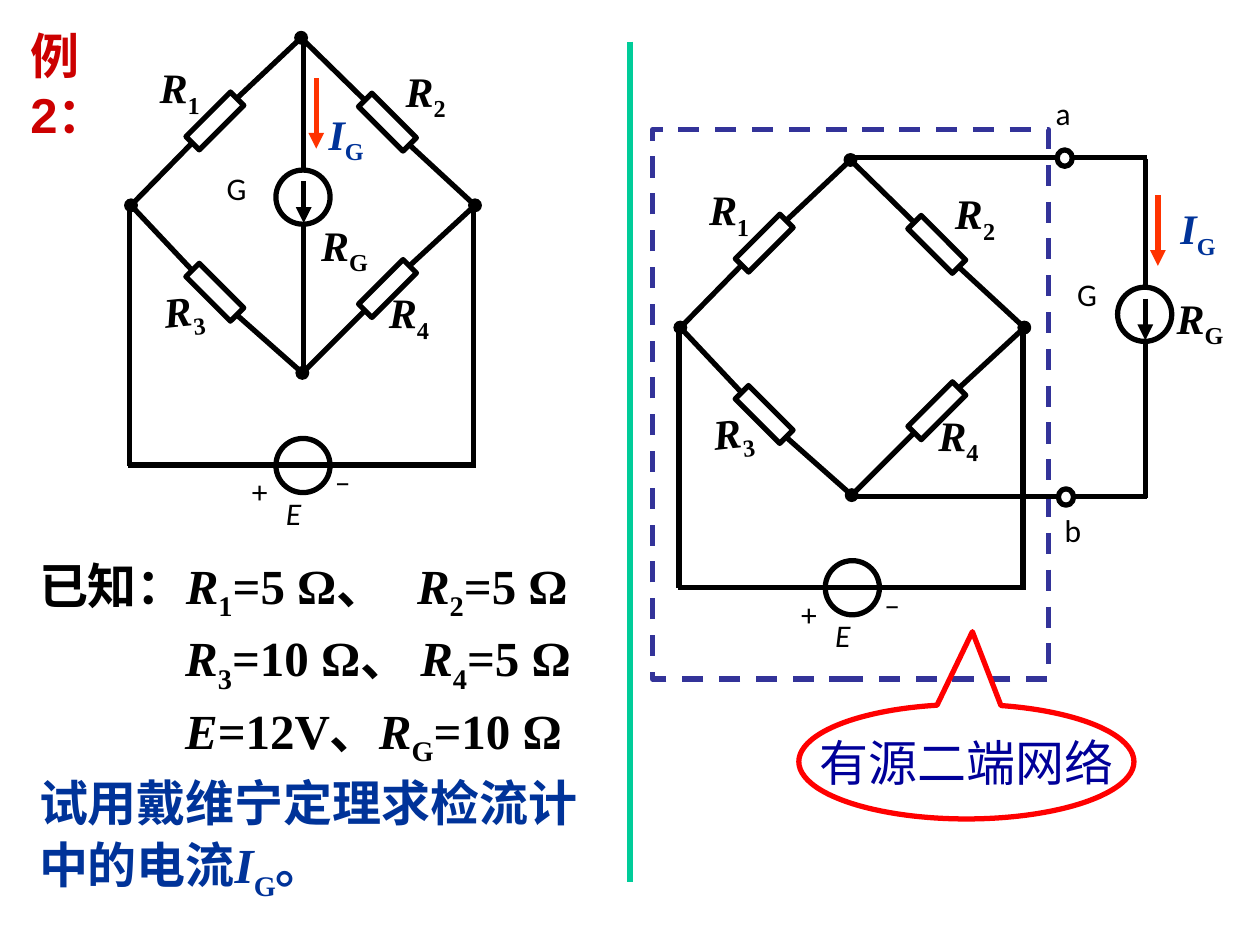
from lxml.etree import SubElement
from pptx import Presentation
from pptx.dml.color import RGBColor
from pptx.enum.dml import MSO_LINE
from pptx.enum.shapes import MSO_CONNECTOR, MSO_SHAPE
from pptx.enum.text import MSO_ANCHOR as Anchor, MSO_AUTO_SIZE as AutoSize, PP_ALIGN as Align
from pptx.oxml.ns import qn
from pptx.util import Pt

PX = 9144
BLACK = RGBColor(0, 0, 0)
RED = RGBColor(0xFF, 0, 0)
TITLE_RED = RGBColor(0xCC, 0, 0)
ARROW_RED = RGBColor(0xFF, 0x33, 0)
BLUE = RGBColor(0, 0x33, 0x99)
NAVY = RGBColor(0, 0, 0x99)
INDIGO = RGBColor(0x33, 0x33, 0x99)
GREEN = RGBColor(0, 0xCC, 0x99)
SERIF, SANS = "Times New Roman", "Calibri"

presentation = Presentation()
presentation.slide_width, presentation.slide_height = 1000 * PX, 750 * PX
slide = presentation.slides.add_slide(presentation.slide_layouts[1])
shapes = slide.shapes


def add_line(x1, y1, x2, y2, color=BLACK, arrow=False):
    line = shapes.add_connector(MSO_CONNECTOR.STRAIGHT, x1 * PX, y1 * PX, x2 * PX, y2 * PX)
    line.line.color.rgb = color
    line.line.width = Pt(3)
    if arrow:
        SubElement(line.line._get_or_add_ln(), qn("a:tailEnd"), type="triangle")
    SubElement(line._element.spPr, qn("a:effectLst"))
    return line


def add_outline(kind, x, y, width, height, color=BLACK, filled=False):
    shape = shapes.add_shape(kind, x * PX, y * PX, width * PX, height * PX)
    shape.shadow.inherit = False
    shape.line.color.rgb = color
    shape.line.width = Pt(0.75 if filled else 3)
    if filled:
        shape.fill.solid()
        shape.fill.fore_color.rgb = color
    else:
        shape.fill.background()
    return shape


texts = []

title, body = shapes.title, slide.placeholders[1]
for placeholder, box in ((title, (14, 15, 119, 62)), (body, (21, 433, 479, 262))):
    placeholder.left, placeholder.top, placeholder.width, placeholder.height = [v * PX for v in box]
    placeholder.text_frame.vertical_anchor = Anchor.TOP
    placeholder.text_frame.auto_size = AutoSize.NONE
    placeholder.text_frame.word_wrap = True
title_paragraph = title.text_frame.paragraphs[0]
title_paragraph.alignment = Align.LEFT
texts.append((title_paragraph, [("例2：", "")], "Arial", 28, TITLE_RED, True))

givens = [
    (0, BLACK, [("已知：", ""), ("R", "i"), ("1", "s"), ("=5 Ω、\t", ""),
                ("R", "i"), ("2", "s"), ("=5 Ω", "")]),
    (116, BLACK, [("R", "i"), ("3", "s"), ("=10 Ω、 ", ""), ("R", "i"), ("4", "s"), ("=5 Ω", "")]),
    (116, BLACK, [("E", "i"), ("=12V、", ""), ("R", "i"), ("G", "s"), ("=10 Ω", "")]),
    (0, BLUE, [("试用戴维宁定理求检流计中的电流", ""), ("I", "i"), ("G", "s"), ("。", "")]),
]
for index, (margin, color, runs) in enumerate(givens):
    paragraph = body.text_frame.add_paragraph() if index else body.text_frame.paragraphs[0]
    properties = paragraph._p.get_or_add_pPr()
    properties.set("marL", str(margin * PX))
    properties.set("indent", "0")
    SubElement(properties, qn("a:buNone"))
    if index == 0:
        tabs = SubElement(properties, qn("a:tabLst"))
        SubElement(tabs, qn("a:tab"), pos=str(320 * PX), algn="l")
    paragraph.line_spacing = 1.05
    paragraph.space_before = Pt(1.4 if index else 0)
    texts.append((paragraph, runs, SERIF, 28, color, True))

add_line(500, 33, 500, 700, GREEN)
network = add_outline(MSO_SHAPE.RECTANGLE, 518, 103, 314, 436, INDIGO)
network.line.dash_style = MSO_LINE.DASH
callout = add_outline(MSO_SHAPE.OVAL_CALLOUT, 634, 559, 266, 91, RED)
callout.adjustments[0], callout.adjustments[1] = 0.018, -1.134
callout.text_frame.word_wrap = False
callout.text_frame.vertical_anchor = Anchor.MIDDLE
callout.text_frame.paragraphs[0].alignment = Align.CENTER
texts.append((callout.text_frame.paragraphs[0], [("有源二端网络", "")], SANS, 28, NAVY, False))

labels = [
    (828, 70, 37, -0.3, [("a", "")], SANS, 18, BLACK),
    (835, 401, 39, -0.3, [("b", "")], SANS, 18, BLACK),
]
nodes = {"top": (239, 30), "left": (104, 163), "right": (377, 163), "bottom": (240, 296)}
resistors = [
    (170, 96, 45, "top", "left"),
    (307, 97, -45, "top", "right"),
    (170, 232, -45, "left", "bottom"),
    (307, 229, 45, "right", "bottom"),
]
wires = [(103, 160, 103, 370), (376, 162, 376, 370), (102, 369, 378, 369)]
circuits = [
    (0, 0, (241, 157, 29, 296), (170, 129), (251, 81), (245, 169)),
    (436, 97, (909, 250, 126, 395), (845, 213), (927, 156), (924, 227)),
]
for dx, dy, (meter_x, meter_y, wire_top, wire_bottom), name_at, current_at, resistance_at in circuits:
    for x1, y1, x2, y2 in wires:
        add_line(x1 + dx, y1 + dy, x2 + dx, y2 + dy)
    for x, y, angle, upper, lower in resistors:
        resistor = add_outline(MSO_SHAPE.RECTANGLE, x + dx - 7, y + dy - 25, 15, 50)
        resistor.rotation = angle
        reach = 18 if angle > 0 else -18
        for site, node, end_x, end_y in ((0, upper, x + reach, y - 18), (2, lower, x - reach, y + 18)):
            node_x, node_y = nodes[node]
            lead = add_line(node_x + dx, node_y + dy, end_x + dx, end_y + dy)
            lead.end_connect(resistor, site)
            lead.end_x, lead.end_y = (end_x + dx) * PX, (end_y + dy) * PX
    for x, y in nodes.values():
        add_outline(MSO_SHAPE.OVAL, x + dx - 5, y + dy - 5, 10, 10, filled=True)
    add_outline(MSO_SHAPE.OVAL, 219 + dx, 348 + dy, 43, 43)

    add_line(meter_x, wire_top, meter_x, meter_y - 21)
    add_line(meter_x, meter_y + 21, meter_x, wire_bottom)
    add_outline(MSO_SHAPE.OVAL, meter_x - 22, meter_y - 22, 43, 43)
    add_line(meter_x, meter_y - 13, meter_x, meter_y + 20, arrow=True)
    add_line(meter_x + 10, meter_y - 95, meter_x + 10, meter_y - 39, ARROW_RED, arrow=True)

    labels += [
        (217 + dx, 387 + dy, 67, 0, [("E", "i")], SANS, 18, BLACK),
        (256 + dx, 362 + dy, 37, 0, [("–", "")], SANS, 18, BLACK),
        (190 + dx, 370 + dy, 39, 0, [("+", "")], SANS, 18, BLACK),
        (*name_at, 46, 0, [("G", "")], SANS, 18, BLACK),
        (*current_at, 51, 0, [("I", "i"), ("G", "s")], SERIF, 24, BLUE),
        (*resistance_at, 60, 0, [("R", "i"), ("G", "s")], SERIF, 24, BLACK),
    ]
    for number, (x, y, width, angle) in enumerate(
            [(117, 44, 53, 0.5), (312, 47, 53, -0.3), (120, 220, 64, -6.1), (299, 223, 53, 0.5)], 1):
        labels.append((x + dx, y + dy, width, angle, [("R", "i"), (str(number), "s")], SERIF, 24, BLACK))

for y, inner_x, terminal_x in ((125, 676, 845), (394, 675, 846)):
    add_line(inner_x, y, terminal_x - 5, y)
    add_line(terminal_x + 6, y, 910, y)
    add_outline(MSO_SHAPE.OVAL, terminal_x - 6, y - 6, 12, 13)

for x, y, width, angle, runs, font_name, size, color in labels:
    label = shapes.add_textbox(x * PX, y * PX, width * PX, 50 * PX)
    label.rotation = angle
    label.text_frame.word_wrap = False
    label.text_frame.auto_size = AutoSize.SHAPE_TO_FIT_TEXT
    texts.append((label.text_frame.paragraphs[0], runs, font_name, size, color, font_name == SERIF))

for paragraph, runs, font_name, size, color, bold in texts:
    for text, style in runs:
        run = paragraph.add_run()
        run.text = text
        run.font.name = font_name
        run.font.size = Pt(size)
        run.font.bold = bold
        run.font.italic = style == "i"
        run.font.color.rgb = color
        if style == "s":
            run._r.get_or_add_rPr().set("baseline", "-25000")

presentation.save("out.pptx")
